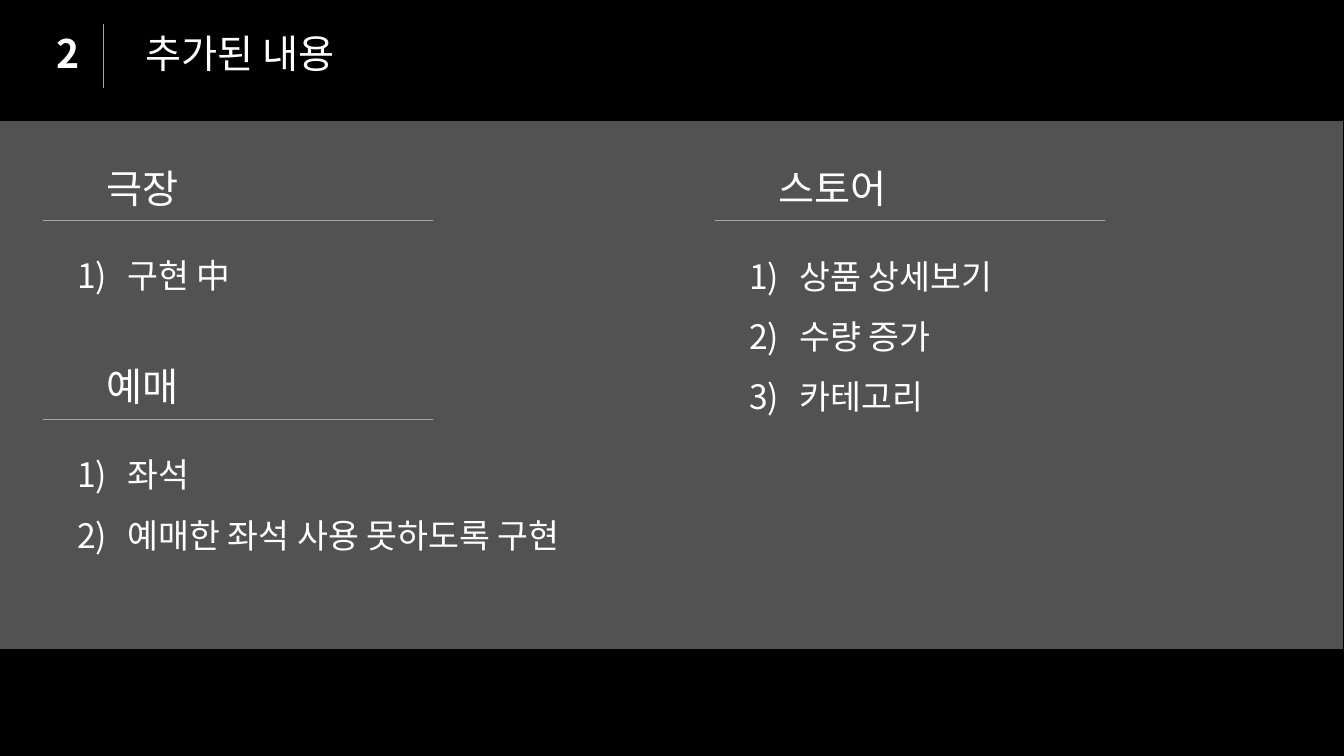
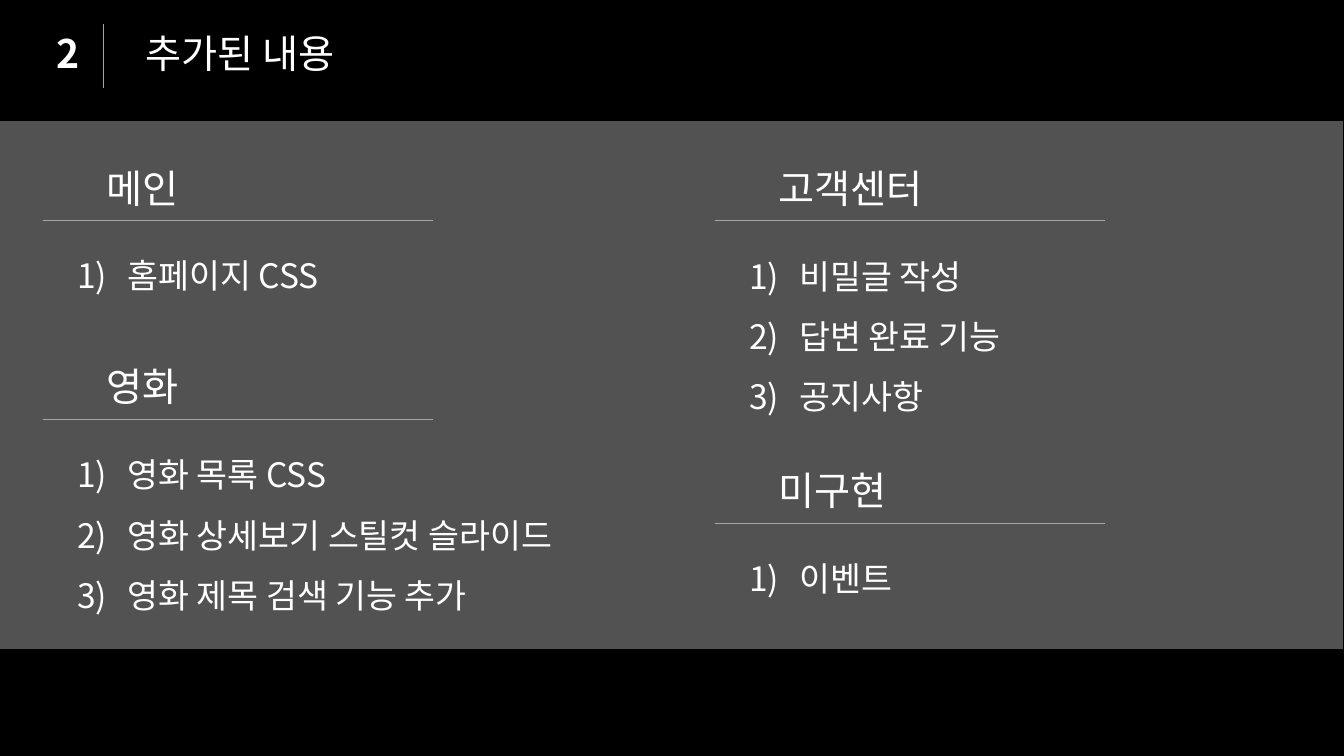
from lxml import etree
from pptx import Presentation
from pptx.dml.color import RGBColor
from pptx.enum.shapes import MSO_CONNECTOR, MSO_SHAPE
from pptx.enum.text import MSO_ANCHOR, MSO_AUTO_SIZE, PP_ALIGN
from pptx.oxml.ns import qn
from pptx.util import Pt

LINE = MSO_CONNECTOR.STRAIGHT
RECT = MSO_SHAPE.RECTANGLE
TOP = MSO_ANCHOR.TOP
FIXED = MSO_AUTO_SIZE.NONE
LEFT, RIGHT = PP_ALIGN.LEFT, PP_ALIGN.RIGHT

FONT = "Noto Sans CJK KR"
BLACK, WHITE, GRAY = "000000", "FFFFFF", "A5A5A5"
COLS = (31, 511)
TITLE = "추가된 내용"
PAGES = [
    [
        (0, 157.5, "극장", ["구현 中"]),
        (0, 299.5, "예매", ["좌석", "예매한 좌석 사용 못하도록 구현"]),
        (1, 157.5, "스토어", ["상품 상세보기", "수량 증가", "카테고리"]),
    ],
    [
        (0, 157.5, "메인", ["홈페이지 CSS"]),
        (0, 299.5, "영화", ["영화 목록 CSS", "영화 상세보기 스틸컷 슬라이드", "영화 제목 검색 기능 추가"]),
        (1, 157.5, "고객센터", ["비밀글 작성", "답변 완료 기능", "공지사항"]),
        (1, 373.7, "미구현", ["이벤트"]),
    ],
]


def paint(color, code):
    color.rgb = RGBColor.from_string(code)


def write(shape, lines, size=28, bold=False, align=LEFT, gap=1.0, listed=False):
    frame = shape.text_frame
    frame.word_wrap = True
    frame.auto_size = FIXED
    frame.vertical_anchor = TOP
    for i, line in enumerate(lines):
        para = frame.add_paragraph() if i else frame.paragraphs[0]
        para.alignment = align
        para.line_spacing = gap
        if listed:
            props = para._p.get_or_add_pPr()
            props.set("marL", str(Pt(36)))
            props.set("indent", str(-Pt(36)))
            etree.SubElement(props, qn("a:buAutoNum"), type="arabicParenR")
        run = para.add_run()
        run.text = line
        font = run.font
        font.name, font.size, font.bold = FONT, Pt(size), bold
        paint(font.color, WHITE)
        latin = run._r.rPr.find(qn("a:latin"))
        latin.addnext(latin.makeelement(qn("a:ea"), {"typeface": FONT}))


def label(slide, box, lines, **style):
    write(slide.shapes.add_textbox(*map(Pt, box)), lines, **style)


def rule(slide, *ends):
    line = slide.shapes.add_connector(LINE, *map(Pt, ends))
    line.line.width = Pt(0.5)
    paint(line.line.color, GRAY)
    etree.SubElement(line._element.spPr, qn("a:effectLst"))


def panel(slide, box):
    shape = slide.shapes.add_shape(RECT, *map(Pt, box))
    shape.shadow.inherit = False
    shape.line.fill.background()
    shape.fill.solid()
    paint(shape.fill.fore_color, GRAY)
    color = shape._element.spPr.find(qn("a:solidFill"))[0]
    etree.SubElement(color, qn("a:alpha"), val="50000")


def header(slide, left, top, number):
    label(slide, (left, top, 34, 41), [number], bold=True)
    rule(slide, left + 41, top, left + 41, top + 46)
    title = slide.shapes.title
    title.left, title.top = Pt(left + 43), Pt(top)
    title.width, title.height = Pt(170), Pt(41)
    write(title, [TITLE], align=RIGHT)


def topic(slide, left, base, name, items):
    label(slide, (left + 38, base - 44, 160, 41), [name])
    rule(slide, left, base, left + 278.5, base)
    label(slide, (left + 17, base + 7, 400, 44 * len(items)), items,
          size=24, gap=1.5, listed=True)


def page(deck, topics):
    slide = deck.slides.add_slide(deck.slide_layouts[5])
    panel(slide, (-0.7, 86.5, 960, 377))
    header(slide, 33, 17.2, "2")
    for col, base, name, items in topics:
        topic(slide, COLS[col], base, name, items)


def main():
    deck = Presentation()
    deck.slide_width, deck.slide_height = Pt(960), Pt(540)
    fill = deck.slide_master.background.fill
    fill.solid()
    paint(fill.fore_color, BLACK)
    for topics in PAGES:
        page(deck, topics)
    deck.save("out.pptx")


if __name__ == "__main__":
    main()
